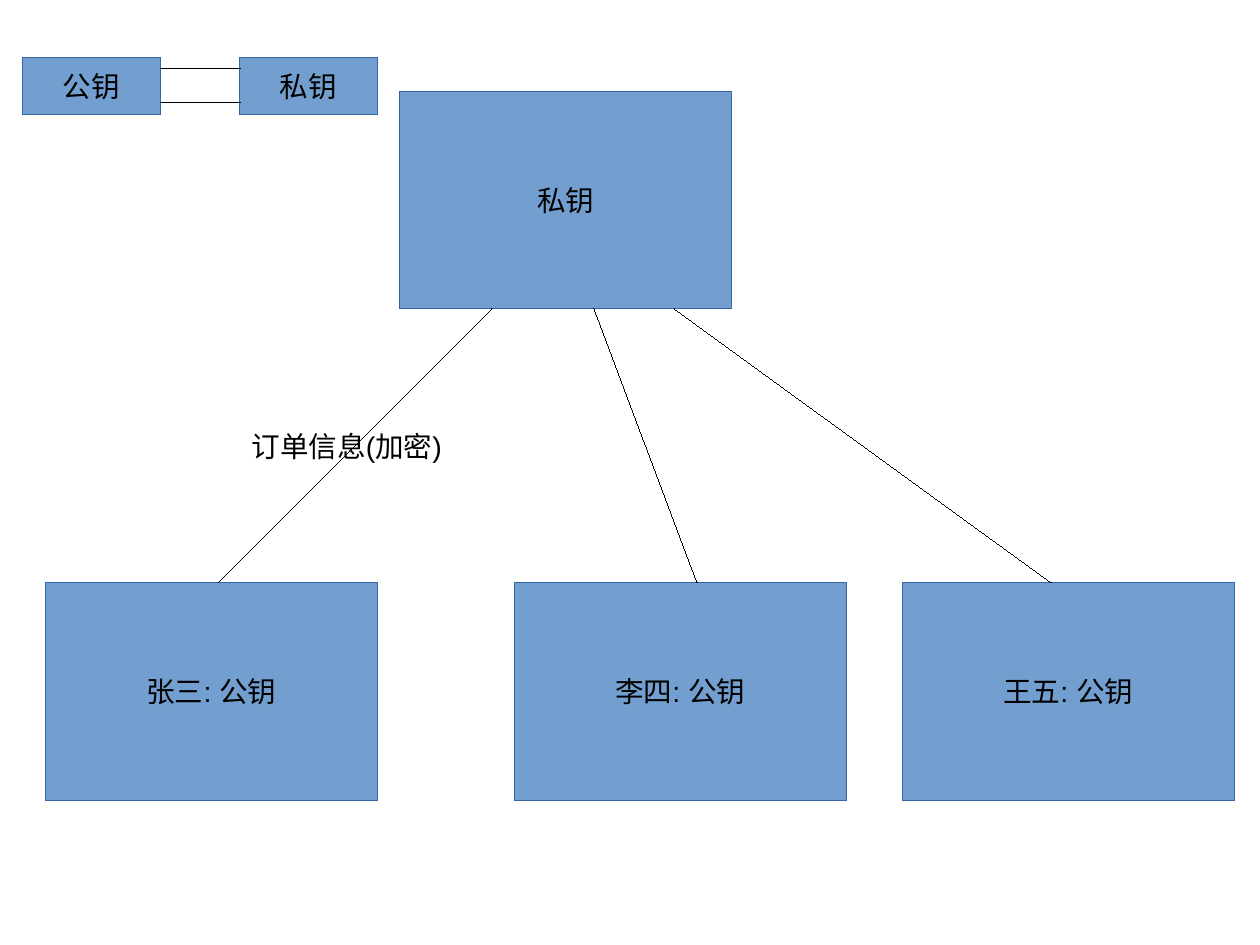
from dataclasses import dataclass

from lxml import etree
from pptx import Presentation
from pptx.dml.color import RGBColor
from pptx.enum.shapes import MSO_CONNECTOR, MSO_SHAPE
from pptx.enum.text import MSO_ANCHOR, MSO_AUTO_SIZE, PP_ALIGN
from pptx.oxml.ns import qn
from pptx.slide import Slide
from pptx.text.text import TextFrame
from pptx.util import Cm, Pt

RECTANGLE = MSO_SHAPE.RECTANGLE
STRAIGHT = MSO_CONNECTOR.STRAIGHT
MIDDLE, TOP = MSO_ANCHOR.MIDDLE, MSO_ANCHOR.TOP
CENTER, LEFT = PP_ALIGN.CENTER, PP_ALIGN.LEFT
GROW = MSO_AUTO_SIZE.SHAPE_TO_FIT_TEXT

COLORS = {"fill": "729FCF", "border": "3465A4", "ink": "000000"}
HAIRLINE = Pt(0.01)

KEY_SIZE = (3.07, 1.27)
PARTY_SIZE = (7.38, 4.83)
KEY_TOP, SERVER_TOP, CLIENT_TOP = 1.27, 2.03, 12.95
SERVER_BOTTOM = SERVER_TOP + PARTY_SIZE[1]


@dataclass
class Box:
    text: str
    left: float
    top: float
    size: tuple[float, float]


@dataclass
class Link:
    start: tuple[float, float]
    end: tuple[float, float]


BOXES = [
    Box("公钥", 0.5, KEY_TOP, KEY_SIZE),
    Box("私钥", 5.32, KEY_TOP, KEY_SIZE),
    Box("私钥", 8.88, SERVER_TOP, PARTY_SIZE),
    *(Box(f"{client}: 公钥", left, CLIENT_TOP, PARTY_SIZE)
      for client, left in (("张三", 1.01), ("李四", 11.43), ("王五", 20.05))),
]

LINKS = [
    *(Link((3.56, y), (5.34, y)) for y in (1.52, 2.27)),
    *(Link((server_x, SERVER_BOTTOM), (client_x, CLIENT_TOP))
      for server_x, client_x in ((10.93, 4.85), (13.2, 15.49), (14.98, 23.36))),
]


def color(key: str) -> RGBColor:
    return RGBColor.from_string(COLORS[key])


def write(frame: TextFrame, text: str, *, align: PP_ALIGN = CENTER,
          anchor: MSO_ANCHOR = MIDDLE) -> None:
    frame.word_wrap = False
    frame.vertical_anchor = anchor
    paragraph = frame.paragraphs[0]
    paragraph.alignment = align
    run = paragraph.add_run()
    run.text = text
    run.font.name = "Arial"
    run.font.size = Pt(18)
    run.font.color.rgb = color("ink")


def draw_box(slide: Slide, box: Box) -> None:
    shape = slide.shapes.add_shape(
        RECTANGLE, Cm(box.left), Cm(box.top), *map(Cm, box.size))
    shape.shadow.inherit = False
    shape.fill.solid()
    shape.fill.fore_color.rgb = color("fill")
    shape.line.color.rgb = color("border")
    shape.line.width = HAIRLINE
    write(shape.text_frame, box.text)


def draw_link(slide: Slide, link: Link) -> None:
    connector = slide.shapes.add_connector(
        STRAIGHT, *map(Cm, link.start + link.end))
    connector.line.color.rgb = color("ink")
    connector.line.width = HAIRLINE
    etree.SubElement(connector._element.spPr, qn("a:effectLst"))


def main() -> None:
    deck = Presentation()
    deck.slide_width, deck.slide_height = Cm(28), Cm(21)
    slide = deck.slides.add_slide(deck.slide_layouts[6])
    for box in BOXES:
        draw_box(slide, box)
    for link in LINKS:
        draw_link(slide, link)
    order_label = slide.shapes.add_textbox(Cm(5.34), Cm(9.4), Cm(5.26), Cm(1.19))
    write(order_label.text_frame, "订单信息(加密)", align=LEFT, anchor=TOP)
    order_label.text_frame.auto_size = GROW
    deck.save("out.pptx")


if __name__ == "__main__":
    main()
